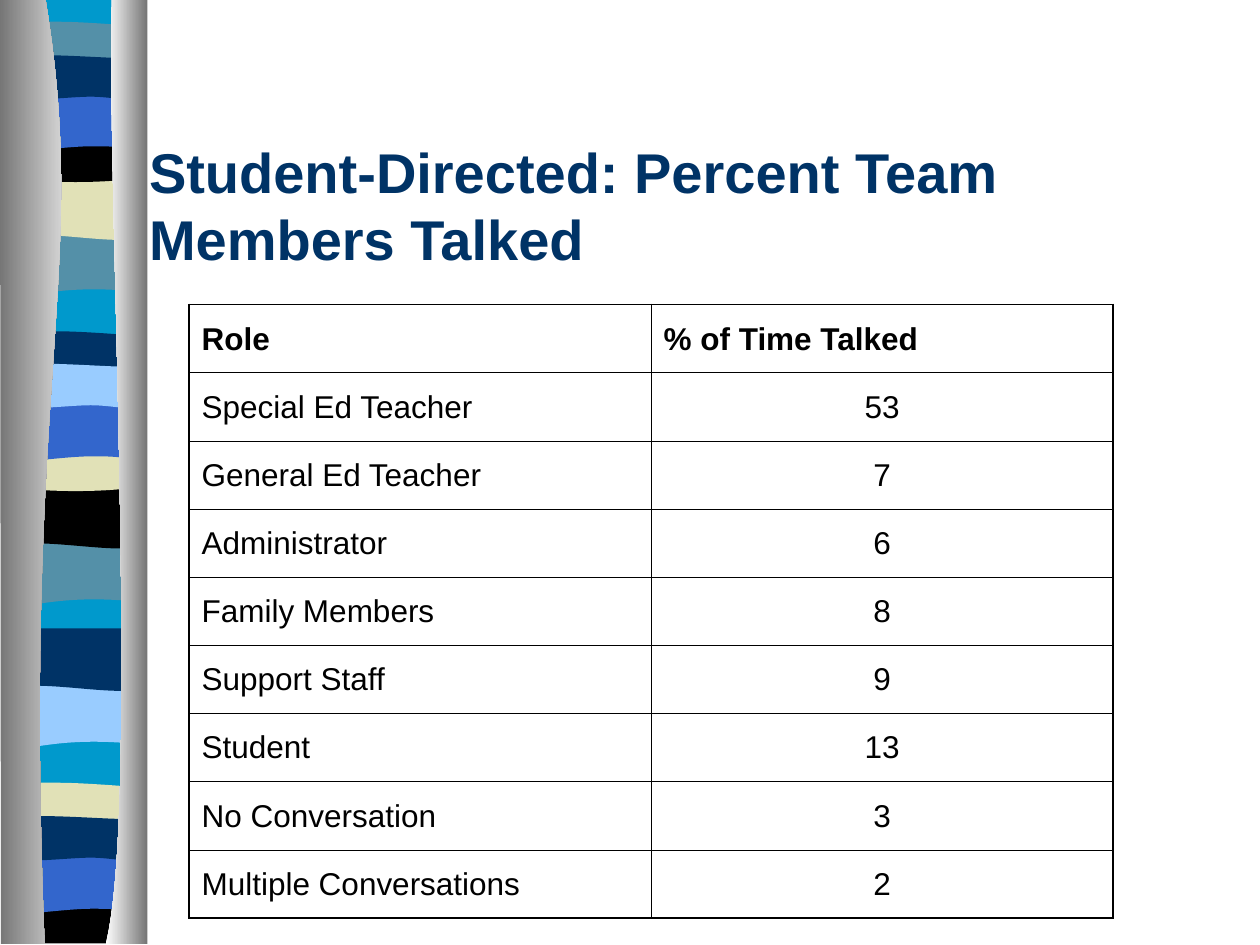
from lxml import etree
from pptx import Presentation
from pptx.dml.color import RGBColor
from pptx.enum.text import MSO_ANCHOR as Anchor, MSO_AUTO_SIZE as AutoSize, PP_ALIGN as Align
from pptx.oxml.ns import qn
from pptx.util import Cm, Pt

CYAN = RGBColor(0x00, 0x99, 0xCC)
TEAL = RGBColor(0x54, 0x90, 0xA8)
SAND = RGBColor(0xE1, 0xE1, 0xB7)
BLACK = RGBColor(0x00, 0x00, 0x00)
BLUE = RGBColor(0x33, 0x66, 0xCC)
NAVY = RGBColor(0x00, 0x33, 0x66)
SKY = RGBColor(0x99, 0xCC, 0xFF)
GREY = RGBColor(0x76, 0x76, 0x76)
WHITE = RGBColor(0xFF, 0xFF, 0xFF)

FONT = "Arial"
BAND_LEFT = 0.15
BAND_WIDTH = 2.74


def add_outline(shapes, segments, left=0, top=0):
    points = [
        (Cm(left + segment[i]), Cm(top + segment[i + 1]))
        for segment in segments
        for i in range(0, len(segment), 2)
    ]
    builder = shapes.build_freeform(*points[0])
    builder.add_line_segments(points[1:], close=True)
    shape = builder.convert_to_shape()
    lines = iter(list(shape._element.iter(qn("a:lnTo"))))
    for segment in segments[1:]:
        line = next(lines)
        if len(segment) == 6:
            line.addprevious(etree.Element(qn("a:cubicBezTo")))
            curve = line.getprevious()
            for control in (line, next(lines), next(lines)):
                curve.append(control[0])
                control.getparent().remove(control)
    shape.shadow.inherit = False
    shape.line.fill.background()
    return shape


def add_border(cell, side, width):
    border = etree.SubElement(cell._tc.get_or_add_tcPr(), qn(f"a:{side}"), w=str(Pt(width)))
    fill = etree.SubElement(border, qn("a:solidFill"))
    etree.SubElement(fill, qn("a:srgbClr"), val=str(BLACK))


presentation = Presentation()
presentation.slide_width = Cm(25.4)
presentation.slide_height = Cm(19.05)
slide = presentation.slides.add_slide(presentation.slide_layouts[5])

W = BAND_WIDTH
BASE = [(W, 0), (W, 18.97), (0, 18.97), (0, 0)]
SLOPE = [(W, 0), (W, 1.19), (0.84, 0.99, 0.46, 1.4, 0, 1.19), (0, 0)]
SWELL = [(W, 0), (W, 1.19), (2.29, 1.4, 0.84, 1.04, 0, 1.19), (0, 0)]
CREST = [(W, 0.13), (W, 0.74), (2.29, 0.84, 0.46, 0.84, 0, 0.74), (0, 0.13),
         (0.15, 0, 0.58, 0.03, 1.04, 0.03), (1.5, 0.03, 2.39, 0.1, W, 0.13)]
BOWL = [(W, 0), (W, 0.81), (2.29, 0.97, 0.46, 0.97, 0, 0.81), (0, 0),
        (1.68, 0.13, 2.16, 0, W, 0)]
FOOT = [(W, 0), (W, 0.94), (0, 0.94), (0, 0), (1.68, 0.13, 2.16, 0, W, 0)]
ARCH = [(W, 0), (W, 1.19), (2.31, 1.07, 2.13, 1.07, 1.68, 1.07),
        (1.22, 1.07, 0.41, 1.19, 0, 1.19), (0, 0)]
RIPPLE = [(W, 0.13), (W, 0.91), (2.57, 1.04, 2.13, 0.91, 1.68, 0.91),
          (1.22, 0.91, 0.28, 1.04, 0, 0.91), (0, 0.13),
          (0.38, 0, 1.85, 0.13, 2.31, 0.13), (2.77, 0.13, 2.64, 0.13, W, 0.13)]

bands = [
    (BASE, 0, CYAN),
    (SLOPE, 4.7, TEAL), (SWELL, 3.58, SAND), (CREST, 0.41, TEAL),
    (BOWL, 2.74, BLACK), (ARCH, 1.88, BLUE), (RIPPLE, 1.04, NAVY),
    (SLOPE, 10.95, TEAL), (SWELL, 9.8, BLACK), (CREST, 6.65, NAVY),
    (BOWL, 8.97, SAND), (ARCH, 8.13, BLUE), (RIPPLE, 7.26, SKY),
    (SLOPE, 13.82, SKY), (SWELL, 12.67, NAVY), (CREST, 15.75, SAND),
    (FOOT, 18.08, BLACK), (ARCH, 17.25, BLUE), (RIPPLE, 16.38, NAVY),
]
ribbon = slide.shapes.add_group_shape()
for outline, top, color in bands:
    band = add_outline(ribbon.shapes, outline, BAND_LEFT, top)
    band.fill.solid()
    band.fill.fore_color.rgb = color

LEFT_COLUMN = [(0.92, 0), (1.82, 5.49, 0.44, 7.52, 0.9, 19.03), (0.02, 19.03), (0, 0)]
RIGHT_COLUMN = [(2.26, 0), (2.13, 3.18, 2.84, 16.41, 2.13, 19.03), (2.97, 19.03), (2.97, 0)]
for outline, colors in [(LEFT_COLUMN, (GREY, WHITE)), (RIGHT_COLUMN, (WHITE, GREY))]:
    column = add_outline(ribbon.shapes, outline)
    column.fill.gradient()
    column.fill.gradient_angle = 0
    for stop, position, color in zip(column.fill.gradient_stops, (0, 1), colors):
        stop.position = position
        stop.color.rgb = color

title = slide.shapes.title
title.left, title.top, title.width, title.height = Cm(2.75), Cm(2.54), Cm(21.59), Cm(3.18)
title.text_frame.word_wrap = True
title.text_frame.auto_size = AutoSize.NONE
title.text_frame.vertical_anchor = Anchor.MIDDLE
paragraph = title.text_frame.paragraphs[0]
paragraph.alignment = Align.LEFT
run = paragraph.add_run()
run.text = "Student-Directed: Percent Team Members Talked"
run.font.name = FONT
run.font.size = Pt(32)
run.font.bold = True
run.font.color.rgb = NAVY

rows = [
    ("Role", "% of Time Talked"),
    ("Special Ed Teacher", "53"),
    ("General Ed Teacher", "7"),
    ("Administrator", "6"),
    ("Family Members", "8"),
    ("Support Staff", "9"),
    ("Student", "13"),
    ("No Conversation", "3"),
    ("Multiple Conversations", "2"),
]
table = slide.shapes.add_table(
    len(rows), 2, Cm(3.81), Cm(6.14), Cm(18.63), Cm(12.37)
).table
table.first_row = False
table.horz_banding = False
last_row = len(rows) - 1
for row_index, texts in enumerate(rows):
    is_header = row_index == 0
    for column_index, text in enumerate(texts):
        cell = table.cell(row_index, column_index)
        paragraph = cell.text_frame.paragraphs[0]
        paragraph.line_spacing = 1.3
        paragraph.alignment = Align.CENTER if column_index and not is_header else Align.LEFT
        run = paragraph.add_run()
        run.text = text
        run.font.name = FONT
        run.font.size = Pt(18)
        run.font.bold = is_header
        run.font.color.rgb = BLACK
        outer_sides = {
            "lnL": column_index == 0,
            "lnR": column_index == 1,
            "lnT": is_header,
            "lnB": row_index == last_row,
        }
        for side, is_outer in outer_sides.items():
            add_border(cell, side, 1.08 if is_outer else 0.45)
        cell.fill.background()

presentation.save("out.pptx")
